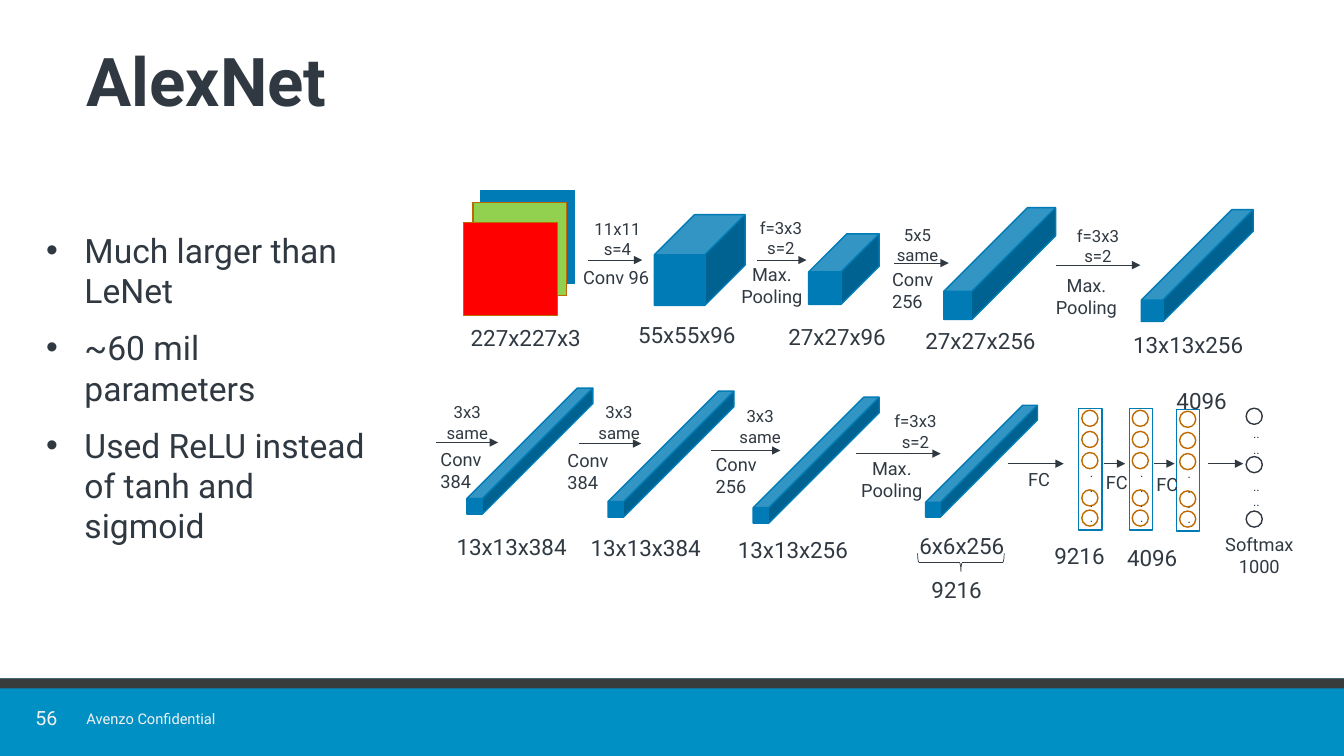
from dataclasses import dataclass

import pptx
import pptx.dml.color
import pptx.enum.shapes
import pptx.enum.text
import pptx.oxml
import pptx.oxml.ns
import pptx.util
from pptx.util import Inches

ALIGN = pptx.enum.text.PP_ALIGN
ANCHOR = pptx.enum.text.MSO_ANCHOR
SHAPE = pptx.enum.shapes.MSO_SHAPE


@dataclass(frozen=True)
class Theme:
    font: str = "Roboto"
    ink: str = "303942"
    blue: str = "007BB6"
    orange: str = "BD6900"
    green: str = "92D050"
    red: str = "FF0000"
    footer: str = "0090C3"
    footer_edge: str = "383D3B"
    footer_text: str = "F2F2F2"
    title: float = 48
    body: float = 24
    size_label: float = 16
    page: float = 14
    operation: float = 13
    filter: float = 12
    confidential: float = 10.5
    dots: float = 9


THEME = Theme()

# arrow (x1, x2, y), filter (box, lines), operation (box, lines),
# cube (left, top, side, depth), size (left, top, width, text)
STEPS = [
    ((5.83, 6.37, 2.58), (5.71, 2.12, 0.83), ("11x11", "s=4"), (5.6, 2.59, 1.02), ("Conv 96",),
     (6.49, 2.13, 0.9, 0.443), (6.23, 3.14, 1.22), "55x55x96"),
    ((7.51, 8, 2.58), (7.4, 2.11, 0.69), ("f=3x3", "s=2"), (7.19, 2.56, 0.93), ("Max.", "Pooling"),
     (8.02, 2.32, 0.7, 0.54), (7.72, 3.16, 1.19), "27x27x96"),
    ((8.87, 9.41, 2.61), (8.73, 2.18, 0.74), ("5x5", "same"), (8.75, 2.61, 0.7), ("Conv", "256"),
     (9.36, 2.06, 1.11, 0.749), (9.08, 3.2, 1.39), "27x27x256"),
    ((10.47, 11.31, 2.63), (10.55, 2.19, 0.68), ("f=3x3", "s=2"), (10.35, 2.67, 0.85), ("Max.", "Pooling"),
     (11.32, 2.08, 1.11, 0.808), (11.14, 3.24, 1.47), "13x13x256"),
    ((4.32, 4.94, 4.39), (4.27, 3.94, 0.73), ("3x3", "same"), (4.27, 4.4, 0.78), ("Conv", "384"),
     (4.63, 3.85, 1.25, 0.877), (4.43, 5.24, 1.37), "13x13x384"),
    ((5.74, 6.36, 4.4), (5.78, 3.94, 0.72), ("3x3", "same"), (5.53, 4.41, 0.78), ("Conv", "384"),
     (6.03, 3.88, 1.25, 0.877), (5.76, 5.25, 1.37), "13x13x384"),
    ((7.05, 7.74, 4.47), (7.19, 3.98, 0.7), ("3x3", "same"), (7, 4.45, 0.9), ("Conv", "256"),
     (7.47, 3.94, 1.25, 0.877), (7.22, 5.27, 1.37), "13x13x256"),
    ((8.49, 9.33, 4.5), (8.71, 4.03, 0.74), ("f=3x3", "s=2"), (8.41, 4.49, 0.87), ("Max.", "Pooling"),
     (9.18, 4.02, 1.11, 0.868), (9.02, 5.23, 1.11), "6x6x256"),
]


def rgb(color):
    return pptx.dml.color.RGBColor.from_string(color)


def add_figure(slide, kind, left, top, width, height, fill=None, line=None, weight=1):
    figure = slide.shapes.add_shape(kind, Inches(left), Inches(top), Inches(width), Inches(height))
    figure.shadow.inherit = False
    if fill:
        figure.fill.solid()
        figure.fill.fore_color.rgb = rgb(fill)
    else:
        figure.fill.background()
    if line:
        figure.line.color.rgb = rgb(line)
        figure.line.width = pptx.util.Pt(weight)
    else:
        figure.line.fill.background()
    return figure


def add_arrow(slide, x1, x2, y):
    arrow = slide.shapes.add_connector(
        pptx.enum.shapes.MSO_CONNECTOR.STRAIGHT, Inches(x1), Inches(y), Inches(x2), Inches(y))
    arrow.line.color.rgb = rgb(THEME.ink)
    arrow.line.width = pptx.util.Pt(0.5)
    head = pptx.oxml.parse_xml(f'<a:tailEnd {pptx.oxml.ns.nsdecls("a")} type="triangle"/>')
    arrow.line._get_or_add_ln().append(head)
    no_shadow = pptx.oxml.parse_xml(f'<a:effectLst {pptx.oxml.ns.nsdecls("a")}/>')
    arrow._element.spPr.append(no_shadow)


def add_label(slide, box, lines, size, color=THEME.ink, align=ALIGN.LEFT, bold=False, spacing=None):
    """Add one paragraph per line; a box without a height fits its text."""
    left, top, width, height = (*box, 0.3)[:4]
    label = slide.shapes.add_textbox(Inches(left), Inches(top), Inches(width), Inches(height))
    frame = label.text_frame
    frame.word_wrap = True
    if len(box) == 4:
        frame.vertical_anchor = ANCHOR.MIDDLE
    else:
        frame.auto_size = pptx.enum.text.MSO_AUTO_SIZE.SHAPE_TO_FIT_TEXT
    for index, line in enumerate(lines):
        paragraph = frame.paragraphs[0] if index == 0 else frame.add_paragraph()
        paragraph.alignment = align
        if spacing:
            paragraph.line_spacing = spacing
        run = paragraph.add_run()
        run.text = line
        run.font.name = THEME.font
        run.font.size = pptx.util.Pt(size)
        run.font.bold = bold
        run.font.color.rgb = rgb(color)
    return frame


def add_bullets(slide, box, lines):
    frame = add_label(slide, box, lines, THEME.body)
    for index, paragraph in enumerate(frame.paragraphs):
        properties = paragraph._p.get_or_add_pPr()
        properties.set("marL", str(Inches(0.38)))
        properties.set("indent", str(-Inches(0.38)))
        properties.append(pptx.oxml.parse_xml(
            f'<a:buFont {pptx.oxml.ns.nsdecls("a")} typeface="Arial"/>'))
        properties.append(pptx.oxml.parse_xml(
            f'<a:buChar {pptx.oxml.ns.nsdecls("a")} char="•"/>'))
        paragraph.space_before = pptx.util.Pt(6 if index else 0)
        paragraph.space_after = pptx.util.Pt(6)


def add_step(slide, arrow, filter_box, filter_lines, op_box, op_lines, cube, size_box, size):
    add_arrow(slide, *arrow)
    add_label(slide, filter_box, filter_lines, THEME.filter, align=ALIGN.CENTER)
    op_align = ALIGN.LEFT if op_lines[0] == "Conv" else ALIGN.CENTER
    add_label(slide, op_box, op_lines, THEME.operation, align=op_align)
    left, top, side, depth = cube
    volume = add_figure(slide, SHAPE.CUBE, left, top, side, side, THEME.blue, THEME.blue)
    volume.adjustments[0] = depth
    add_label(slide, size_box, [size], THEME.size_label)


def add_neuron(slide, left, top, color):
    add_figure(slide, SHAPE.OVAL, left, top, 0.16, 0.16, line=color)


def add_dense_layer(slide, left, top):
    add_figure(slide, SHAPE.RECTANGLE, left, top, 0.23, 1.21, line=THEME.blue)
    for offset in (0.02, 0.23, 0.44, 0.81, 1.01):
        add_neuron(slide, left + 0.03, top + offset, THEME.orange)
    add_label(slide, (left + 0.01, top + 0.51, 0.22), ["..", ".."], THEME.dots)


def add_classifier(slide):
    for left, top in ((10.7, 4.05), (11.2, 4.05), (11.67, 4.06)):
        add_dense_layer(slide, left, top)
    for box, units in (((10.36, 5.33, 0.8), "9216"), ((11.08, 5.35, 0.8), "4096"),
                       ((11.57, 3.79, 0.78), "4096"), ((9.14, 5.67, 0.82), "9216")):
        add_label(slide, box, [units], THEME.size_label)
    for x1, x2 in ((10, 10.55), (10.95, 11.16), (11.45, 11.65), (11.98, 12.33)):
        add_arrow(slide, x1, x2, 4.6)
    for left, top in ((10.1, 4.6), (10.87, 4.63), (11.37, 4.65)):
        add_label(slide, (left, top, 0.47), ["FC"], THEME.operation)
    for top in (4.05, 4.53, 5.07):
        add_neuron(slide, 12.36, top, THEME.ink)
    for top in (4.18, 4.7):
        add_label(slide, (12.33, top, 0.4), ["..", ".."], THEME.dots)
    add_label(slide, (12.02, 5.24, 0.94), ["Softmax", "1000"], THEME.operation, align=ALIGN.CENTER)
    brace = add_figure(slide, SHAPE.RIGHT_BRACE, 9.44, 5.15, 0.18, 0.86, line=THEME.ink, weight=0.5)
    brace.rotation = 90


def add_input_image(slide):
    for left, top, fill, line in ((4.77, 1.89, THEME.blue, THEME.blue),
                                  (4.69, 2.01, THEME.green, THEME.orange),
                                  (4.6, 2.21, THEME.red, THEME.orange)):
        add_figure(slide, SHAPE.RECTANGLE, left, top, 0.93, 0.92, fill, line)
    add_label(slide, (4.57, 3.17, 1.39), ["227x227x3"], THEME.size_label)


def add_footer(slide):
    add_figure(slide, SHAPE.RECTANGLE, 0, 6.73, 13.33, 0.77, THEME.footer)
    add_figure(slide, SHAPE.RECTANGLE, 0, 6.73, 13.33, 0.1, THEME.footer_edge)
    page = add_label(slide, (0.33, 7.02, 0.26, 0.23), ["56"], THEME.page,
                     THEME.footer_text, ALIGN.CENTER, spacing=0.9)
    page.margin_left = page.margin_right = page.margin_top = page.margin_bottom = 0
    add_label(slide, (0.76, 6.99, 1.8), ["Avenzo Confidential"], THEME.confidential, THEME.footer_text)


def main():
    deck = pptx.Presentation()
    deck.slide_width, deck.slide_height = Inches(13.33), Inches(7.5)
    slide = deck.slides.add_slide(deck.slide_layouts[6])
    add_footer(slide)
    add_label(slide, (0.76, 0.32, 11.91, 1.08), ["AlexNet"], THEME.title, bold=True, spacing=0.8)
    add_input_image(slide)
    for step in STEPS:
        add_step(slide, *step)
    add_classifier(slide)
    add_bullets(slide, (0.36, 2.23, 3.47), [
        "Much larger than LeNet", "~60 mil parameters", "Used ReLU instead of tanh and sigmoid"])
    deck.save("out.pptx")


if __name__ == "__main__":
    main()
